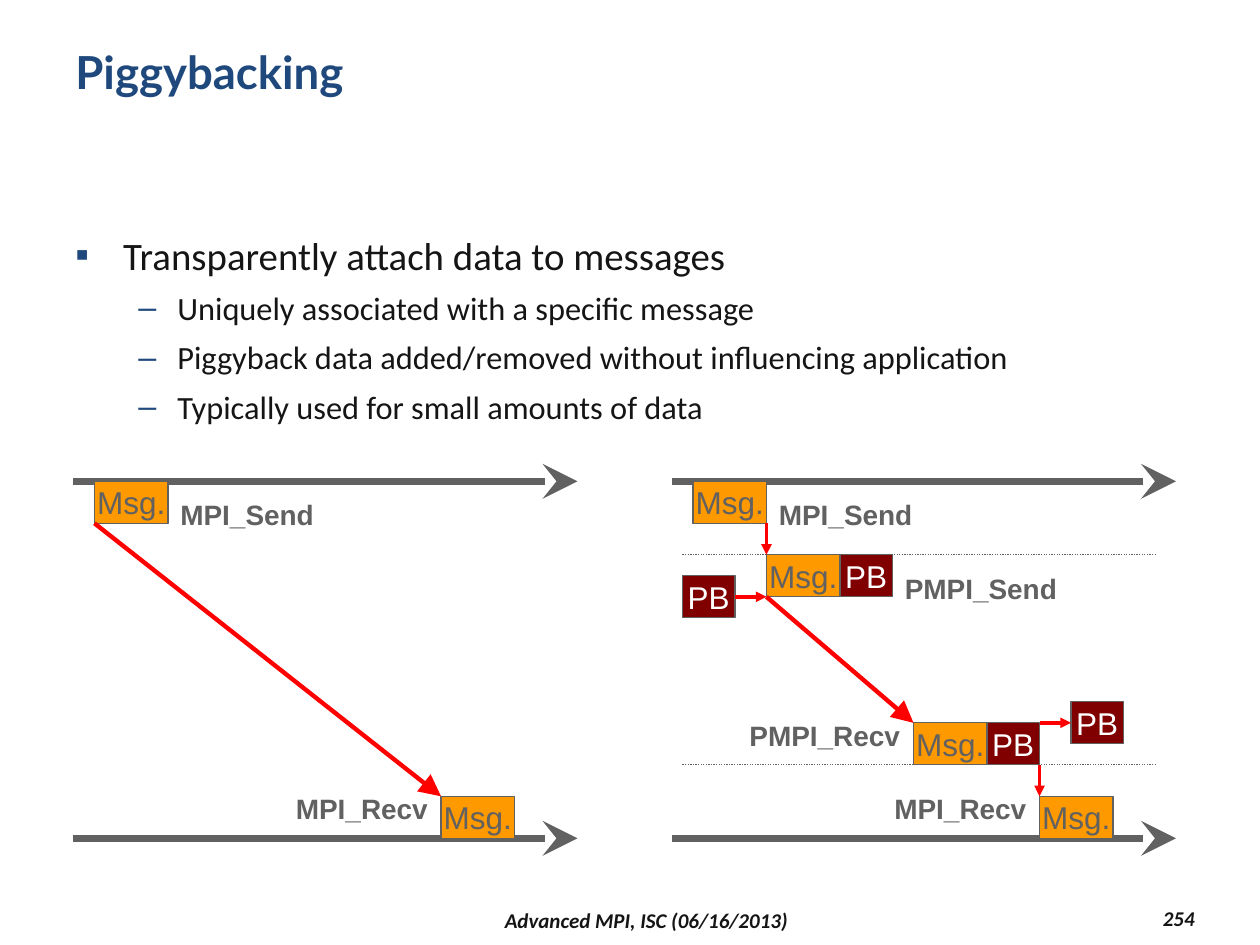
from lxml import etree
from pptx import Presentation
from pptx import util as u
from pptx.dml.color import RGBColor
from pptx.enum import dml, shapes, text
from pptx.oxml.ns import qn

# Diagram grid: 12 columns and rows to the inch, rows counted from the send line
CELL = 1 / 12
TOP = 3.82
BOX_H = 4
MSG_W, PB_W = 7, 5
GREY, RED, ORANGE, MAROON = "616161", "FF0000", "FF9900", "800000"
NAVY, INK, WHITE = "1F497D", "151515", "FFFFFF"
ALIGN, ANCHOR = text.PP_ALIGN, text.MSO_ANCHOR


def hue(code):
    return RGBColor.from_string(code)


def col(n):
    return u.Inches(n * CELL)


def row(n):
    return u.Inches(TOP + n * CELL)


def write(para, words, size=18, font="Arial", color=GREY, bold=False,
          italic=False, align=ALIGN.LEFT):
    para.alignment = align
    run = para.add_run()
    run.text = words
    face = run.font
    face.size, face.name = u.Pt(size), font
    face.bold, face.italic = bold, italic
    face.color.rgb = hue(color)


def frame(slide, x, y, w, h, anchor=ANCHOR.TOP):
    """Add a wrapping text box, placed in inches."""
    area = slide.shapes.add_textbox(*map(u.Inches, (x, y, w, h))).text_frame
    area.word_wrap = True
    area.vertical_anchor = anchor
    return area


def bullet(para, mark, left, hang):
    props = para._p.get_or_add_pPr()
    props.set("marL", str(u.Inches(left)))
    props.set("indent", str(-u.Inches(hang)))
    tint = etree.SubElement(props, qn("a:buClr"))
    etree.SubElement(tint, qn("a:srgbClr"), val=NAVY)
    etree.SubElement(props, qn("a:buFont"), typeface="Arial")
    etree.SubElement(props, qn("a:buChar"), char=mark)


def line(slide, x1, y1, x2, y2, color=GREY, width=0.75, head=None, size="med"):
    """Add a straight line on the grid; without a head it is dotted."""
    link = slide.shapes.add_connector(
        shapes.MSO_CONNECTOR.STRAIGHT, col(x1), row(y1), col(x2), row(y2))
    link.line.color.rgb = hue(color)
    link.line.width = u.Pt(width)
    if head:
        etree.SubElement(link.line._get_or_add_ln(), qn("a:tailEnd"),
                         type=head, w=size, len=size)
    else:
        link.line.dash_style = dml.MSO_LINE.ROUND_DOT
    etree.SubElement(link._element.spPr, qn("a:effectLst"))
    return link


def step(slide, *ends):
    return line(slide, *ends, color=RED, width=2, head="triangle")


def send(slide, *ends):
    return line(slide, *ends, color=RED, width=2.5, head="triangle", size="lg")


def box(slide, x, y, words, wide, fill, color):
    rect = slide.shapes.add_shape(shapes.MSO_SHAPE.RECTANGLE, col(x), row(y),
                                  col(wide), col(BOX_H))
    rect.shadow.inherit = False
    rect.fill.solid()
    rect.fill.fore_color.rgb = hue(fill)
    rect.line.color.rgb = hue(GREY)
    rect.line.width = u.Pt(0.75)
    area = rect.text_frame
    area.word_wrap = False
    area.vertical_anchor = ANCHOR.MIDDLE
    write(area.paragraphs[0], words, color=color, align=ALIGN.CENTER)
    return rect


def msg(slide, x, y):
    return box(slide, x, y, "Msg.", MSG_W, ORANGE, GREY)


def pb(slide, x, y):
    return box(slide, x, y, "PB", PB_W, MAROON, WHITE)


def label(slide, x, y, words):
    """Add a one-line label, two columns a letter, with no side insets to spare."""
    wide = 2 * len(words)
    area = slide.shapes.add_textbox(col(x), row(y), col(wide),
                                    u.Inches(0.37)).text_frame
    area.word_wrap = True
    area.auto_size = text.MSO_AUTO_SIZE.SHAPE_TO_FIT_TEXT
    write(area.paragraphs[0], words, size=16, bold=True)


def panel(slide, x, end):
    """Draw the two time lines, with the message sent and received at end."""
    for y in (0, 34):
        line(slide, x, y, x + 48, y, width=4, head="stealth", size="lg")
    msg(slide, x + 2, 0)
    label(slide, x + 9, 1, "MPI_Send")
    msg(slide, end, 30)
    label(slide, end - 15, 29, "MPI_Recv")


def wrapped(slide):
    """Draw the layer that adds and removes the piggyback data."""
    for y in (7, 27):
        line(slide, 65, y, 110, y)
    for x, y in ((73, 7), (87, 23)):
        msg(slide, x, y)
        pb(slide, x + MSG_W, y)
    label(slide, 85, 8, "PMPI_Send")
    label(slide, 70.2, 22, "PMPI_Recv")
    added, removed = pb(slide, 65, 9), pb(slide, 102, 21)
    step(slide, 70, 11, 73, 11).begin_connect(added, 3)
    step(slide, 99, 23, 102, 23).end_connect(removed, 1)
    step(slide, 73, 4, 73, 7)
    step(slide, 99, 27, 99, 30)
    send(slide, 73, 11, 87, 23)


def points(slide):
    area = frame(slide, 0.5, 1.75, 9, 1.83)
    items = (
        (0, "Transparently attach data to messages"),
        (1, "Uniquely associated with a specific message"),
        (1, "Piggyback data added/removed without influencing application"),
        (1, "Typically used for small amounts of data"),
    )
    looks = ((22.2, "▪", 0.38, 0.38), (18.5, "–", 0.81, 0.31))
    for i, (level, words) in enumerate(items):
        size, mark, left, hang = looks[level]
        para = area.add_paragraph() if i else area.paragraphs[0]
        para.level = level
        para.line_spacing = 1.1
        para.space_before = u.Pt(round(size * 0.2, 1))
        bullet(para, mark, left, hang)
        write(para, words, size=size, font="Calibri", color=INK)


def footer(slide):
    look = dict(size=12, font="Calibri", color=INK, bold=True, italic=True)
    page = frame(slide, 8.5, 7.15, 1.08, 0.27, ANCHOR.MIDDLE)
    write(page.paragraphs[0], "254", align=ALIGN.RIGHT, **look)
    event = frame(slide, 2.17, 7.17, 5.92, 0.27, ANCHOR.MIDDLE)
    write(event.paragraphs[0], "Advanced MPI, ISC (06/16/2013)",
          align=ALIGN.CENTER, **look)


def main():
    deck = Presentation()
    deck.slide_width, deck.slide_height = u.Inches(10), u.Inches(7.5)
    slide = deck.slides.add_slide(deck.slide_layouts[6])

    # Title and bullet points
    title = frame(slide, 0.5, 0.3, 9, 0.87)
    write(title.paragraphs[0], "Piggybacking", size=26, font="Lato",
          color=NAVY, bold=True)
    points(slide)

    # Plain message on the left
    panel(slide, 7, 42)
    send(slide, 9, 4, 42, 30)

    # Message with piggyback data on the right
    panel(slide, 64, 99)
    wrapped(slide)

    footer(slide)
    deck.save("out.pptx")


if __name__ == "__main__":
    main()
